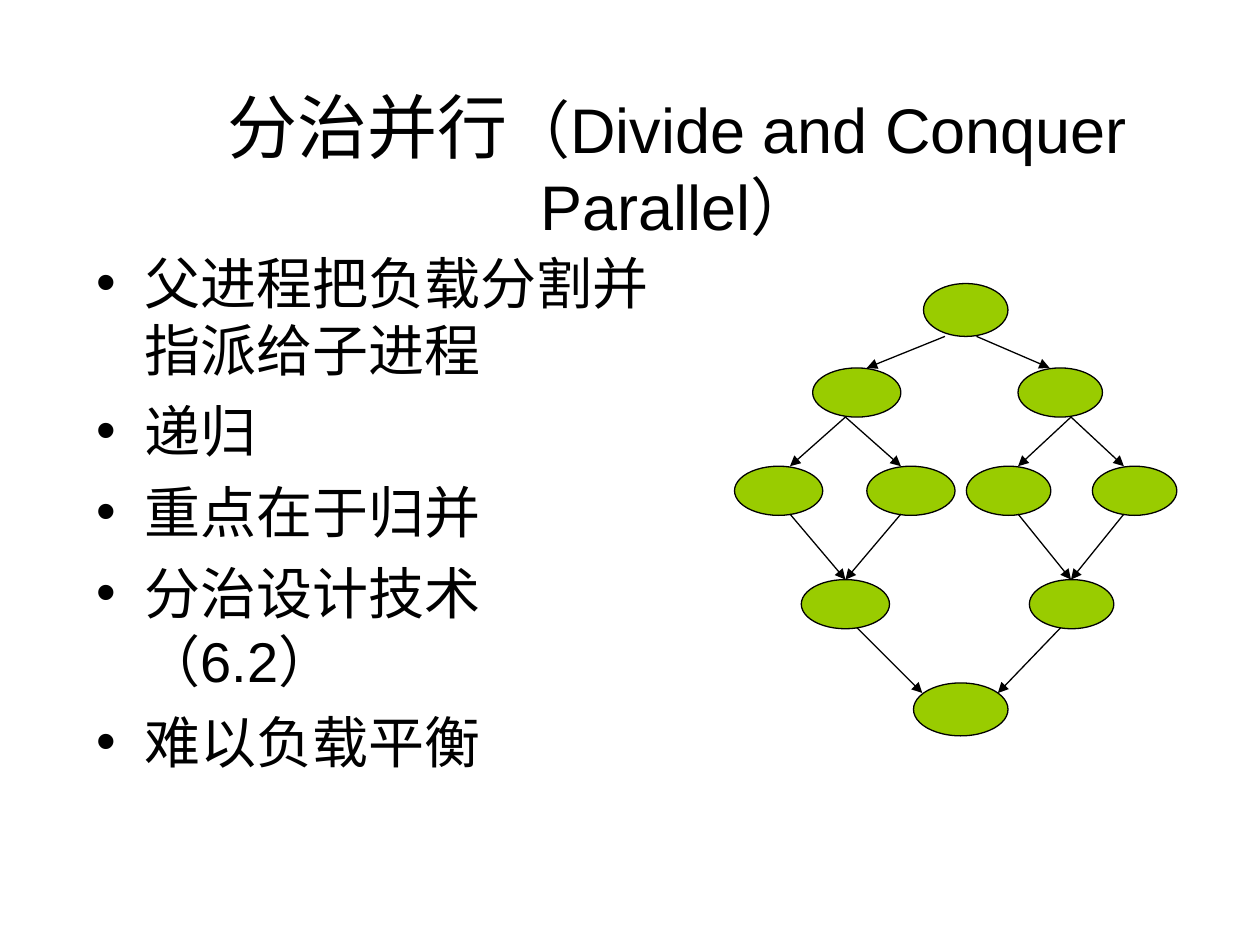
from pptx import Presentation
from pptx.util import Inches, Pt
from pptx.dml.color import RGBColor
from pptx.enum.shapes import MSO_SHAPE, MSO_CONNECTOR
from pptx.enum.text import PP_ALIGN, MSO_ANCHOR
from pptx.oxml.ns import qn
from lxml.etree import SubElement

theme = {
    "ink": RGBColor(0, 0, 0),
    "node": RGBColor(0x99, 0xCC, 0),
    "font": "Arial",
    "title": Pt(40),
    "sub": Pt(36),
    "body": Pt(32),
    "line": Pt(0.75),
}

deck = Presentation()
deck.slide_width, deck.slide_height = Inches(10), Inches(7.5)
slide = deck.slides.add_slide(deck.slide_layouts[6])


def add_box(left, top, width, height, anchor):
    box = slide.shapes.add_textbox(*map(Inches, (left, top, width, height)))
    form = {"word_wrap": True, "vertical_anchor": anchor}
    for key, value in form.items():
        setattr(box.text_frame, key, value)
    return box.text_frame


def add_run(para, text, size):
    run = para.add_run()
    run.text = text
    form = {"name": theme["font"], "size": theme[size]}
    for key, value in form.items():
        setattr(run.font, key, value)
    run.font.color.rgb = theme["ink"]


head = add_box(0.75, 0.67, 9.25, 1.25, MSO_ANCHOR.MIDDLE).paragraphs[0]
head.alignment = PP_ALIGN.CENTER
add_run(head, "分治并行", "title")
add_run(head, "（Divide and Conquer Parallel）", "sub")

points = [
    "父进程把负载分割并指派给子进程",
    "递归",
    "重点在于归并",
    "分治设计技术（6.2）",
    "难以负载平衡",
]
body = add_box(0.67, 1.92, 4.75, 5, MSO_ANCHOR.TOP)
for i, text in enumerate(points):
    para = body.paragraphs[0]
    if i:
        para = body.add_paragraph()
        para.space_before = Pt(8)
    props = para._p.get_or_add_pPr()
    props.set("marL", str(Inches(0.38)))
    props.set("indent", str(-Inches(0.38)))
    SubElement(props, qn("a:buFont"), typeface=theme["font"])
    SubElement(props, qn("a:buChar"), char="•")
    add_run(para, text, "body")

rows = [
    (2.25, 0.42, [(7.33, 0.67)]),
    (2.92, 0.39, [(6.45, 0.7), (8.08, 0.67)]),
    (3.7, 0.39, [(5.83, 0.7), (6.88, 0.7), (7.67, 0.67), (8.67, 0.67)]),
    (4.6, 0.39, [(6.36, 0.7), (8.17, 0.67)]),
    (5.42, 0.42, [(7.25, 0.75)]),
]
for top, height, nodes in rows:
    for left, width in nodes:
        node = slide.shapes.add_shape(
            MSO_SHAPE.OVAL, *map(Inches, (left, top, width, height)))
        node.shadow.inherit = False
        node.fill.solid()
        node.fill.fore_color.rgb = theme["node"]
        node.line.color.rgb = theme["ink"]
        node.line.width = theme["line"]

links = [
    (7.5, 2.67, 6.88, 2.92),
    (7.75, 2.67, 8.33, 2.92),
    (6.8, 4.98, 7.32, 5.5),
    (8.42, 4.98, 7.92, 5.5),
]
for mid, ends in [(6.71, (6.27, 7.15)), (8.5, (8.08, 8.92))]:
    for end in ends:
        links += [(mid, 3.31, end, 3.7), (end, 4.08, mid, 4.6)]

for link in links:
    arrow = slide.shapes.add_connector(
        MSO_CONNECTOR.STRAIGHT, *map(Inches, link))
    arrow.line.color.rgb = theme["ink"]
    arrow.line.width = theme["line"]
    SubElement(arrow.line._get_or_add_ln(), qn("a:tailEnd"), type="triangle")
    SubElement(arrow._element.spPr, qn("a:effectLst"))

deck.save("out.pptx")
